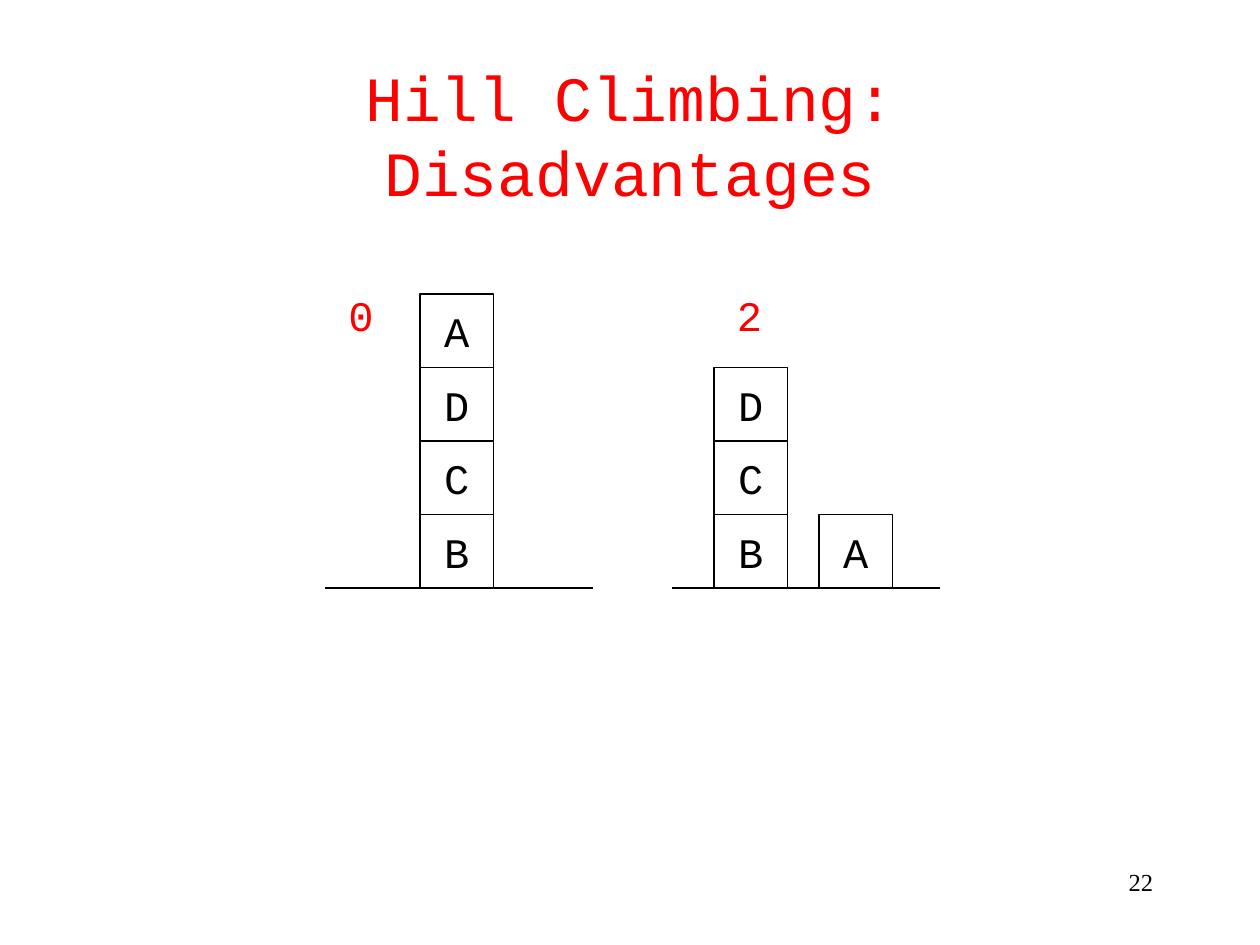
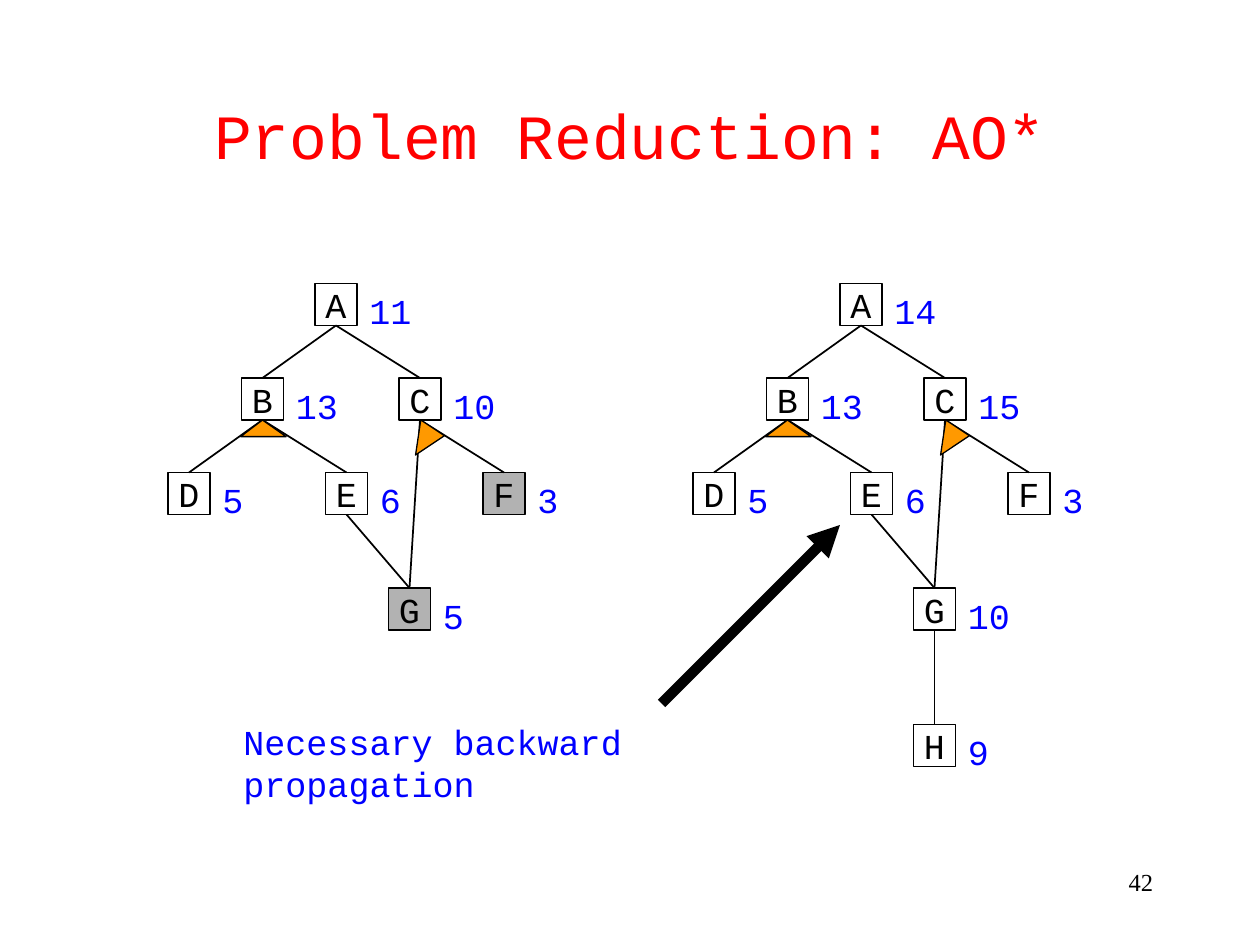
from lxml import etree
from pptx import Presentation
from pptx.dml.color import RGBColor
from pptx.enum.shapes import MSO_CONNECTOR, MSO_SHAPE
from pptx.enum.text import MSO_ANCHOR, MSO_AUTO_SIZE, PP_ALIGN
from pptx.oxml.ns import qn
from pptx.util import Pt

BLACK = RGBColor(0x00, 0x00, 0x00)
RED = RGBColor(0xFF, 0x00, 0x00)
BLUE = RGBColor(0x00, 0x00, 0xFF)
GREY = RGBColor(0xB2, 0xB2, 0xB2)
ORANGE = RGBColor(0xFF, 0x99, 0x00)
CODE_FONT = "Courier New"
NUMBER_FONT = "Times New Roman"

# Blocks world: stacks are listed from the ground up
BLOCK_SIZE = 42
GROUND_TOP = 336
GROUND_WIDTH = 153
BLOCK_STATES = [
    {"ground": 186, "score": ("0", 192), "stacks": [(240, "BCDA")]},
    {"ground": 384, "score": ("2", 414), "stacks": [(408, "BCD"), (468, "A")]},
]

# AO* graph: node corners within a tree, edges from parent to child
NODE_SIZE = 24
NODES = {
    "A": (180, 162),
    "B": (138, 216), "C": (228, 216),
    "D": (96, 270), "E": (186, 270), "F": (276, 270),
    "G": (222, 336),
    "H": (222, 414),
}
EDGES = ["AB", "AC", "BD", "BE", "CF", "CG", "EG", "GH"]
# AND markers: corners measured from the middle of the node's bottom side
AND_MARKERS = {
    "B": [(0, 0), (-12.5, 9.5), (13.5, 9.5)],
    "C": [(0.5, 0), (-2.5, 20), (14, 9)],
}
TREES = [
    {"left": 0, "shaded": "FG",
     "costs": {"A": 11, "B": 13, "C": 10, "D": 5, "E": 6, "F": 3, "G": 5}},
    {"left": 300, "shaded": "",
     "costs": {"A": 14, "B": 13, "C": 15, "D": 5, "E": 6, "F": 3, "G": 10, "H": 9}},
]


def format_text(shape, text, size, color, align, font=CODE_FONT):
    shape.text_frame.text = text
    paragraph = shape.text_frame.paragraphs[0]
    paragraph.alignment = align
    paragraph.font.name = font
    paragraph.font.size = Pt(size)
    paragraph.font.color.rgb = color
    return paragraph


def add_text(page, text, left, top, width, height, size, color,
             align=PP_ALIGN.LEFT, font=CODE_FONT):
    box = page.shapes.add_textbox(Pt(left), Pt(top), Pt(width), Pt(height))
    box.text_frame.word_wrap = True
    return format_text(box, text, size, color, align, font)


def add_label(page, text, left, top, width, size, color):
    paragraph = add_text(page, text, left, top, width, size * 1.6, size, color)
    paragraph.space_before = Pt(size * 0.625)


def add_square(page, letter, left, top, side, size, fill=None):
    square = page.shapes.add_shape(
        MSO_SHAPE.RECTANGLE, Pt(left), Pt(top), Pt(side), Pt(side))
    square.shadow.inherit = False
    if fill is None:
        square.fill.background()
    else:
        square.fill.solid()
        square.fill.fore_color.rgb = fill
    square.line.color.rgb = BLACK
    square.line.width = Pt(1)
    square.text_frame.word_wrap = False
    square.text_frame.vertical_anchor = MSO_ANCHOR.MIDDLE
    format_text(square, letter, size, BLACK, PP_ALIGN.CENTER)
    return square


def add_line(page, start=(0, 0), end=(0, 0), width=1):
    line = page.shapes.add_connector(
        MSO_CONNECTOR.STRAIGHT, *(Pt(value) for value in (*start, *end)))
    line.line.color.rgb = BLACK
    line.line.width = Pt(width)
    etree.SubElement(line._element.spPr, qn("a:effectLst"))
    return line


def add_page(deck, title, number):
    page = deck.slides.add_slide(deck.slide_layouts[5])
    heading = page.shapes.title
    heading.left, heading.top = Pt(54), Pt(31.5)
    heading.width, heading.height = Pt(612), Pt(90)
    heading.text_frame.auto_size = MSO_AUTO_SIZE.NONE
    heading.text_frame.vertical_anchor = MSO_ANCHOR.MIDDLE
    format_text(heading, title, 36, RED, PP_ALIGN.CENTER)
    add_text(page, number, 516, 492, 150, 36, 14, BLACK,
             PP_ALIGN.RIGHT, NUMBER_FONT)
    return page


def draw_block_state(page, state):
    for left, letters in state["stacks"]:
        for level, letter in enumerate(letters, start=1):
            add_square(page, letter, left, GROUND_TOP - level * BLOCK_SIZE,
                       BLOCK_SIZE, 24)
    ground = state["ground"]
    add_line(page, (ground, GROUND_TOP), (ground + GROUND_WIDTH, GROUND_TOP), 1.5)
    score, left = state["score"]
    add_label(page, score, left, 162, 36, 24, RED)


def draw_tree(page, tree):
    # Nodes with their costs
    squares = {}
    for name, cost in tree["costs"].items():
        left, top = NODES[name]
        left += tree["left"]
        fill = GREY if name in tree["shaded"] else None
        squares[name] = add_square(page, name, left, top, NODE_SIZE, 20, fill)
        width = 18 + 12 * len(str(cost))
        add_label(page, str(cost), left + NODE_SIZE, top, width, 20, BLUE)

    # Edges run from the parent's bottom side to the child's top side
    for parent, child in EDGES:
        if child in squares:
            edge = add_line(page)
            edge.begin_connect(squares[parent], 2)
            edge.end_connect(squares[child], 0)

    # AND markers
    for name, offsets in AND_MARKERS.items():
        left, top = NODES[name]
        center = tree["left"] + left + NODE_SIZE / 2
        bottom = top + NODE_SIZE
        corners = [(Pt(center + x), Pt(bottom + y)) for x, y in offsets]
        builder = page.shapes.build_freeform(*corners[0])
        builder.add_line_segments(corners[1:], close=True)
        marker = builder.convert_to_shape()
        marker.shadow.inherit = False
        marker.fill.solid()
        marker.fill.fore_color.rgb = ORANGE
        marker.line.color.rgb = BLACK
        marker.line.width = Pt(0.75)


def main():
    deck = Presentation()
    deck.slide_width, deck.slide_height = Pt(720), Pt(540)

    # Hill climbing
    page = add_page(deck, "Hill Climbing: Disadvantages", "22")
    for state in BLOCK_STATES:
        draw_block_state(page, state)

    # Problem reduction
    page = add_page(deck, "Problem Reduction: AO*", "42")
    for tree in TREES:
        draw_tree(page, tree)
    add_label(page, "Necessary backward propagation", 132, 408, 342, 20, BLUE)
    arrow = add_line(page, (378, 402), (480, 300), 6)
    etree.SubElement(arrow.line._get_or_add_ln(), qn("a:tailEnd"), type="triangle")

    deck.save("out.pptx")


if __name__ == "__main__":
    main()
